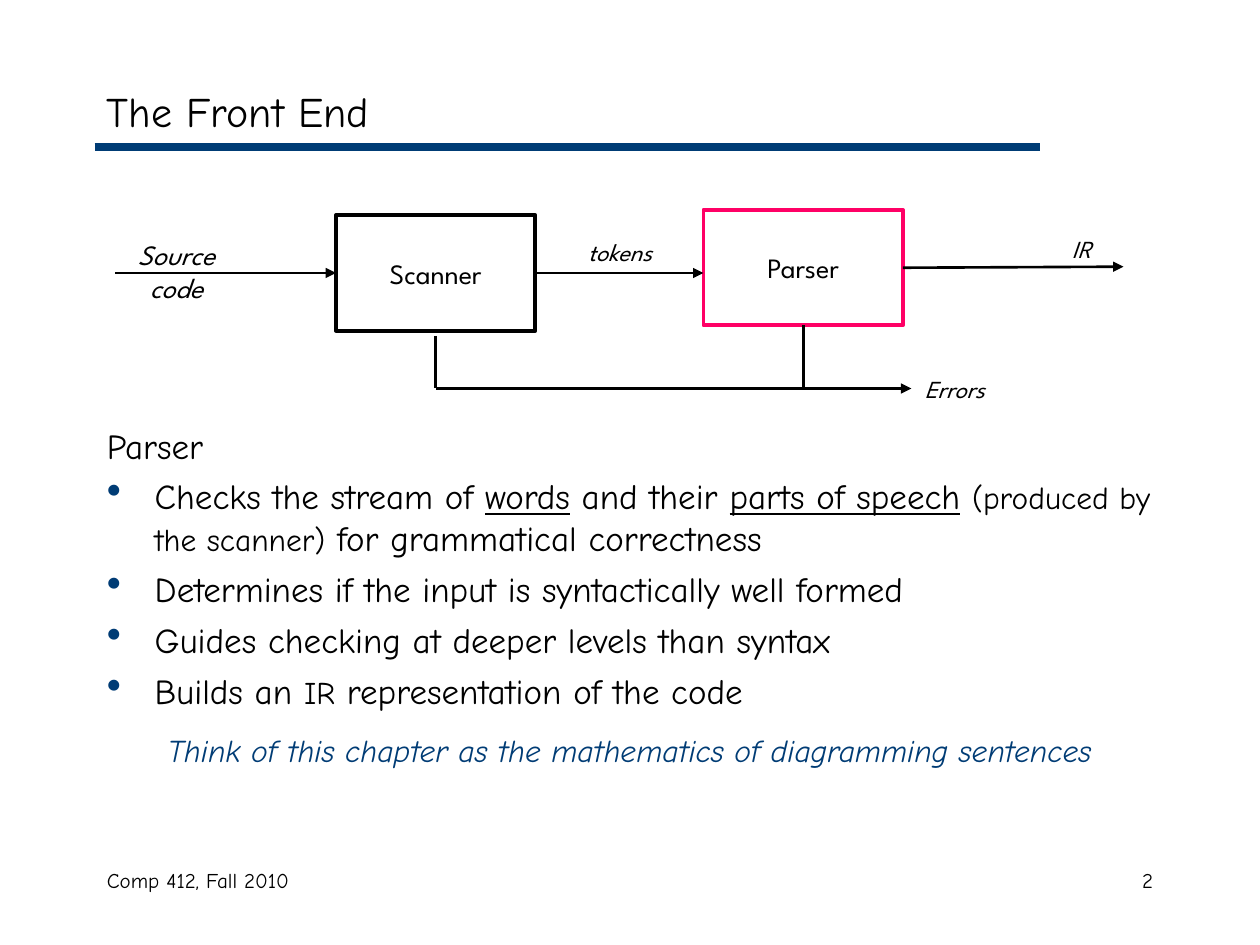
from lxml import etree
from pptx import Presentation
from pptx import util as u
from pptx.dml.color import RGBColor
from pptx.enum import shapes, text
from pptx.oxml import ns

BLACK = RGBColor(0x00, 0x00, 0x00)
NAVY = RGBColor(0x00, 0x3C, 0x75)
PINK = RGBColor(0xFF, 0x00, 0x65)
HAND, SANS = "Comic Neue", "League Spartan"
LEFT, CENTER, RIGHT = text.PP_ALIGN.LEFT, text.PP_ALIGN.CENTER, text.PP_ALIGN.RIGHT
LABEL = dict(name=SANS, size=u.Pt(14), italic=True)
BOX_COLS, BOX_ROWS = 19, 11


def cell(*counts):
    """Turn columns or rows into lengths: the slide is a 120 by 90 grid."""
    return [u.Inches(n / 12) for n in counts]


def sub(parent, tag, **attributes):
    return etree.SubElement(parent, ns.qn(tag), attributes)


def add_run(paragraph, words, color=BLACK, **font):
    run = paragraph.add_run()
    run.text = words
    run.font.color.rgb = color
    for key, value in font.items():
        setattr(run.font, key, value)


def add_text(slide, place, lines, align=LEFT, wrap=True,
             anchor=text.MSO_ANCHOR.TOP, **font):
    frame = slide.shapes.add_textbox(*cell(*place)).text_frame
    frame.word_wrap = wrap
    frame.vertical_anchor = anchor
    for i, words in enumerate(lines):
        paragraph = frame.add_paragraph() if i else frame.paragraphs[0]
        paragraph.alignment = align
        add_run(paragraph, words, **font)


def add_stage(slide, col, row, name, color):
    stage = slide.shapes.add_shape(shapes.MSO_SHAPE.RECTANGLE,
                                   *cell(col, row, BOX_COLS, BOX_ROWS))
    stage.shadow.inherit = False
    stage.fill.background()
    stage.line.color.rgb = color
    stage.line.width = u.Pt(2.25)
    frame = stage.text_frame
    frame.vertical_anchor = text.MSO_ANCHOR.MIDDLE
    frame.paragraphs[0].alignment = CENTER
    add_run(frame.paragraphs[0], name, name=SANS, size=u.Pt(16))
    return stage


def add_line(slide, start, end, arrow=True, color=BLACK, width=1.5):
    line = slide.shapes.add_connector(shapes.MSO_CONNECTOR.STRAIGHT,
                                      *cell(*start, *end))
    line.line.color.rgb = color
    line.line.width = u.Pt(width)
    properties = line._element.spPr
    if arrow:
        sub(properties.find(ns.qn("a:ln")), "a:tailEnd", type="triangle")
    sub(properties, "a:effectLst")
    return line


def add_diagram(slide):
    scanner = add_stage(slide, 32, 20.5, "Scanner", BLACK)
    parser = add_stage(slide, 67, 20, "Parser", PINK)

    # Flow from source code to IR
    add_line(slide, (11, 26), (32, 26)).end_connect(scanner, 1)
    add_line(slide, (51, 26), (67, 26)).begin_connect(scanner, 3)
    add_line(slide, (86, 25.5), (107, 25.4)).begin_connect(parser, 3)

    # Error branches
    add_line(slide, (41.5, 32), (41.5, 37), arrow=False)
    add_line(slide, (76.5, 31), (76.5, 37), arrow=False).begin_connect(parser, 2)
    add_line(slide, (41.5, 37), (86.8, 37))

    # Flow labels
    add_text(slide, (11.6, 22, 10.4, 7.7), ["Source", "code"], CENTER, False,
             **LABEL | dict(size=u.Pt(16)))
    add_text(slide, (54.5, 22, 9.1, 4.1), ["tokens"], CENTER, False, **LABEL)
    add_text(slide, (99, 21.7, 8, 4.1), ["IR"], CENTER, **LABEL)
    add_text(slide, (86.9, 35, 9.4, 4.1), ["Errors"], LEFT, False, **LABEL)


def add_body(slide):
    main, small = dict(size=u.Pt(20)), dict(size=u.Pt(18))
    underlined = main | dict(underline=True)
    # Each paragraph: bulleted, space before, runs
    paragraphs = [
        (False, 0, [("Parser", main)]),
        (True, 5, [("Checks the stream of ", main), ("words", underlined),
                   (" and their ", main), ("parts of speech", underlined),
                   (" ", main), ("(produced by the scanner)", small),
                   (" for grammatical correctness", main)]),
        (True, 5, [("Determines if the input is syntactically well formed", main)]),
        (True, 5, [("Guides checking at deeper levels than syntax", main)]),
        (True, 5, [("Builds an ", main), ("IR", small),
                   (" representation of the code", main)]),
        (False, 11.2, [("Think of this chapter as the mathematics of diagramming sentences",
                        small | dict(color=NAVY, italic=True))]),
    ]
    frame = slide.shapes.add_textbox(*cell(9, 39.8, 102, 40.2)).text_frame
    frame.word_wrap = True
    for i, (bulleted, space, runs) in enumerate(paragraphs):
        paragraph = frame.add_paragraph() if i else frame.paragraphs[0]
        paragraph.space_before = u.Pt(space)
        indent = u.Inches(0.38)
        properties = paragraph._p.get_or_add_pPr()
        properties.set("marL", str(indent))
        properties.set("indent", str(-indent))
        if bulleted:
            sub(sub(properties, "a:buClr"), "a:srgbClr", val=str(NAVY))
            sub(properties, "a:buSzPct", val="120000")
            sub(properties, "a:buChar", char="•")
        for words, font in runs:
            add_run(paragraph, words, name=HAND, **font)
    paragraph.alignment = CENTER  # closing remark


def main():
    deck = Presentation()
    deck.slide_width, deck.slide_height = cell(120, 90)
    slide = deck.slides.add_slide(deck.slide_layouts[6])

    # Title and rule
    add_line(slide, (9, 14), (99, 14), arrow=False, color=NAVY, width=4.5)
    add_text(slide, (9, 7, 102, 7), ["The Front End"],
             anchor=text.MSO_ANCHOR.MIDDLE, name=HAND, size=u.Pt(24))

    add_diagram(slide)
    add_body(slide)

    # Footer
    footer = dict(name=HAND, size=u.Pt(12))
    add_text(slide, (9, 82, 38, 6), ["Comp 412, Fall 2010"], **footer)
    add_text(slide, (86, 82, 25, 6), ["2"], RIGHT, **footer)

    deck.save("out.pptx")


if __name__ == "__main__":
    main()
